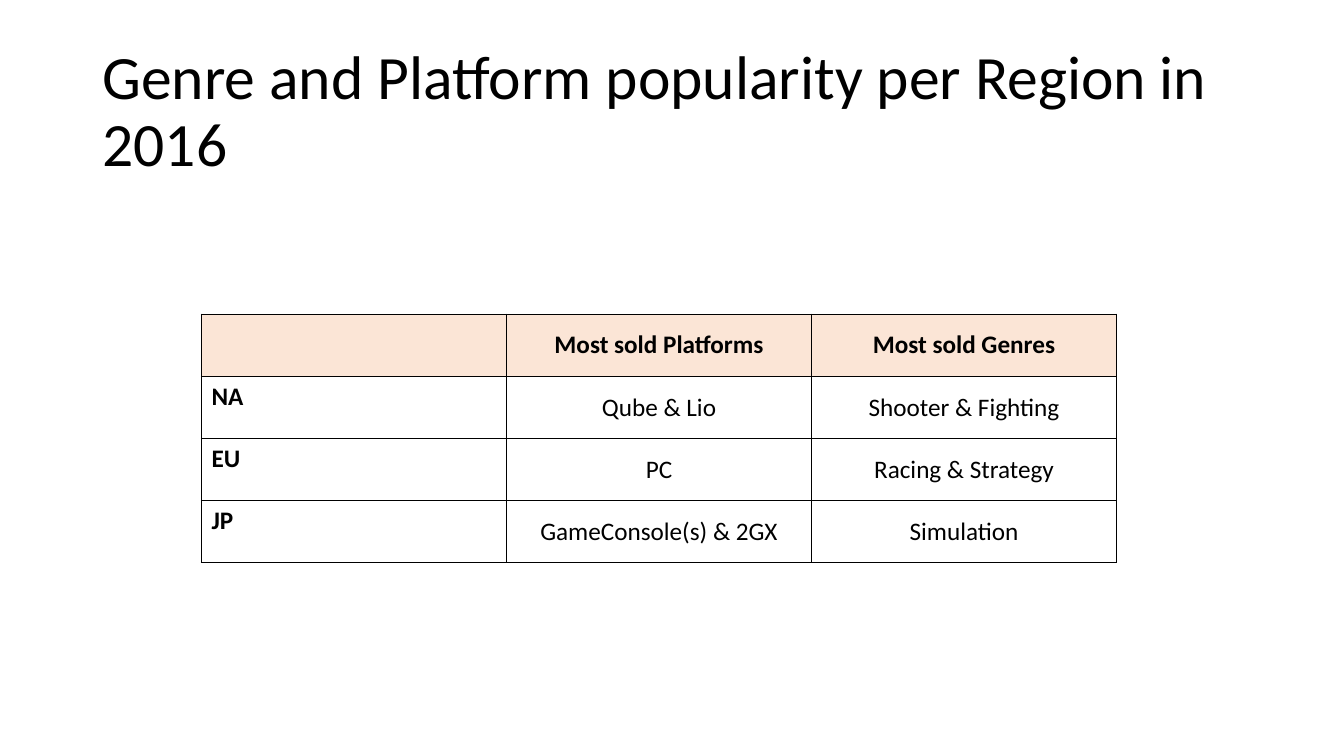
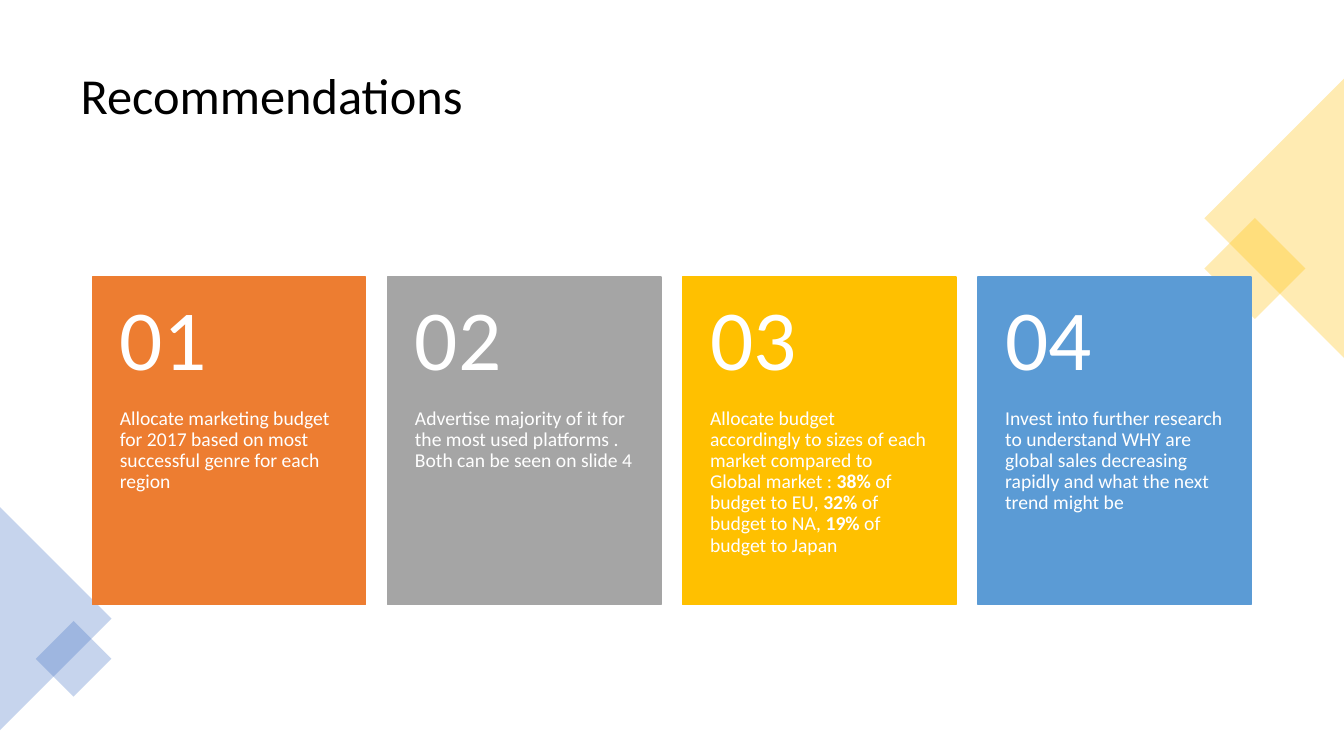
"""Build a table slide of regional favourites and a slide of numbered cards."""
from math import sqrt

from lxml import etree
from pptx import Presentation
from pptx.dml.color import RGBColor
from pptx.enum.shapes import MSO_SHAPE
from pptx.enum.text import MSO_ANCHOR, MSO_AUTO_SIZE, PP_ALIGN
from pptx.oxml.ns import qn
from pptx.util import Cm, Pt

RECT, WEDGE = MSO_SHAPE.RECTANGLE, MSO_SHAPE.ISOSCELES_TRIANGLE
TOP, MID = MSO_ANCHOR.TOP, MSO_ANCHOR.MIDDLE
LEFT, CENTER = PP_ALIGN.LEFT, PP_ALIGN.CENTER
FIXED = MSO_AUTO_SIZE.NONE

FONT = "Calibri"
HUES = {
    "ink": "000000", "white": "FFFFFF", "peach": "FBE5D6", "orange": "ED7D31",
    "gray": "A5A5A5", "gold": "FFC000", "sky": "5B9BD5", "blue": "4472C4",
}
WIDE, HIGH = 33.87, 19.05
ROWS = [
    ["", "Most sold Platforms", "Most sold Genres"],
    ["NA", "Qube & Lio", "Shooter & Fighting"],
    ["EU", "PC", "Racing & Strategy"],
    ["JP", "GameConsole(s) & 2GX", "Simulation"],
]
CARDS = [
    ("orange", ["Allocate marketing budget for 2017 based on most successful "
                "genre for each region"]),
    ("gray", ["Advertise majority of it for the most used platforms . "
              "Both can be seen on slide 4"]),
    ("gold", ["Allocate budget accordingly to sizes of each market compared "
              "to Global market : ", "38%", " of budget to EU, ", "32% ",
              "of budget to NA, ", "19%", " of budget to Japan"]),
    ("sky", ["Invest into further research to understand WHY are global sales "
             "decreasing rapidly and what the next trend might be"]),
]


def color(name):
    """Return the named colour."""
    return RGBColor.from_string(HUES[name])


def style(run, size, hue="ink", bold=False):
    """Set the font of a run."""
    font = run.font
    font.name, font.size, font.bold = FONT, Pt(size), bold
    font.color.rgb = color(hue)


def add_title(slide, box, text, size):
    """Place and format the title placeholder."""
    title = slide.shapes.title
    title.left, title.top, title.width, title.height = map(Cm, box)
    frame = title.text_frame
    frame.text = text
    frame.auto_size, frame.vertical_anchor = FIXED, MID
    para = frame.paragraphs[0]
    para.alignment, para.line_spacing = LEFT, 0.9
    style(para.runs[0], size)


def add_block(shapes, kind, box, hue):
    """Add a plain filled shape."""
    block = shapes.add_shape(kind, *map(Cm, box))
    block.shadow.inherit = False
    block.fill.solid()
    block.fill.fore_color.rgb = color(hue)
    block.line.fill.background()
    return block


def add_edges(cell):
    """Draw thin lines around a table cell."""
    props = cell._tc.get_or_add_tcPr()
    for spot, side in enumerate("LRTB"):
        edge = etree.Element(qn(f"a:ln{side}"), w=str(Pt(1)))
        fill = etree.SubElement(edge, qn("a:solidFill"))
        etree.SubElement(fill, qn("a:srgbClr"), val=HUES["ink"])
        props.insert(spot, edge)


def add_grid(slide, box, rows):
    """Add the bordered table with its head row and bold first column."""
    grid = slide.shapes.add_table(len(rows), len(rows[0]), *map(Cm, box)).table
    for r, row in enumerate(rows):
        for c, text in enumerate(row):
            cell = grid.cell(r, c)
            cell.text = text
            cell.vertical_anchor = MID if c else TOP
            para = cell.text_frame.paragraphs[0]
            para.alignment = CENTER if c else LEFT
            for run in para.runs:
                style(run, 18, bold=r == 0 or c == 0)
            if r == 0:
                cell.fill.solid()
                cell.fill.fore_color.rgb = color("peach")
            else:
                cell.fill.background()
            add_edges(cell)


def add_corner(slide, box, hue, side, right):
    """Add a clear wedge pointing inward and a diamond flush with its tip."""
    left, top, wide, high = box
    reach = side / sqrt(2)
    mid = left + (reach if right else wide - reach)
    wedge = (left + (wide - high) / 2, top + (high - wide) / 2, high, wide)
    gem = (mid - side / 2, top + 0.68 * high - side / 2, side, side)
    parts = [(WEDGE, wedge, 270 if right else 90), (RECT, gem, 45)]
    for kind, place, turn in parts:
        block = add_block(slide.shapes, kind, place, hue)
        block.rotation = turn
        tint = block.element.spPr.find(".//" + qn("a:srgbClr"))
        etree.SubElement(tint, qn("a:alpha"), val="30000")


def add_text(shapes, box, parts, size, anchor, pads):
    """Add white text whose every second part is bold."""
    frame = shapes.add_textbox(*map(Cm, box)).text_frame
    frame.word_wrap, frame.vertical_anchor = True, anchor
    frame.margin_left = frame.margin_right = Cm(0.69)
    frame.margin_top, frame.margin_bottom = map(Cm, pads)
    para = frame.paragraphs[0]
    para.line_spacing = 0.9
    for i, part in enumerate(parts):
        run = para.add_run()
        run.text = part
        style(run, size, "white", i % 2 == 1)


def add_card(slide, box, mark, hue, parts):
    """Add one grouped card: number above, advice below."""
    left, top, wide, high = box
    head = 0.4 * high
    shapes = slide.shapes.add_group_shape().shapes
    block = add_block(shapes, RECT, box, hue)
    block.line.color.rgb = color(hue)
    block.line.width = Pt(1)
    add_text(shapes, (left, top + head, wide, high - head), parts, 14, TOP,
             (0, 0.91))
    add_text(shapes, (left, top, wide, head), [mark], 61, MID, (0.46, 0.46))


def add_cards(slide, box, cards, gap):
    """Spread the cards evenly over the box."""
    left, top, wide, high = box
    each = (wide - gap * (len(cards) - 1)) / len(cards)
    for i, (hue, parts) in enumerate(cards):
        place = (left + i * (each + gap), top, each, high)
        add_card(slide, place, f"{i + 1:02}", hue, parts)


def main():
    """Build and save the deck."""
    deck = Presentation()
    deck.slide_width, deck.slide_height = Cm(WIDE), Cm(HIGH)
    plain = deck.slide_layouts[5]

    slide = deck.slides.add_slide(plain)
    add_title(slide, (2.33, 1.01, 29.21, 3.68),
              "Genre and Platform popularity per Region in 2016", 44)
    add_grid(slide, (5.08, 7.92, 23.06, 6.26), ROWS)

    slide = deck.slides.add_slide(plain)
    add_title(slide, (1.78, 0.89, 30.3, 3.15), "Recommendations", 36)
    add_corner(slide, (WIDE - 3.52, 1.98, 3.52, 7.04), "gold", 1.8, True)
    add_corner(slide, (0, 12.78, 2.81, 5.62), "blue", 1.35, False)
    add_cards(slide, (2.33, 6.98, 29.2, 8.26), CARDS, 0.55)

    deck.save("out.pptx")


if __name__ == "__main__":
    main()
